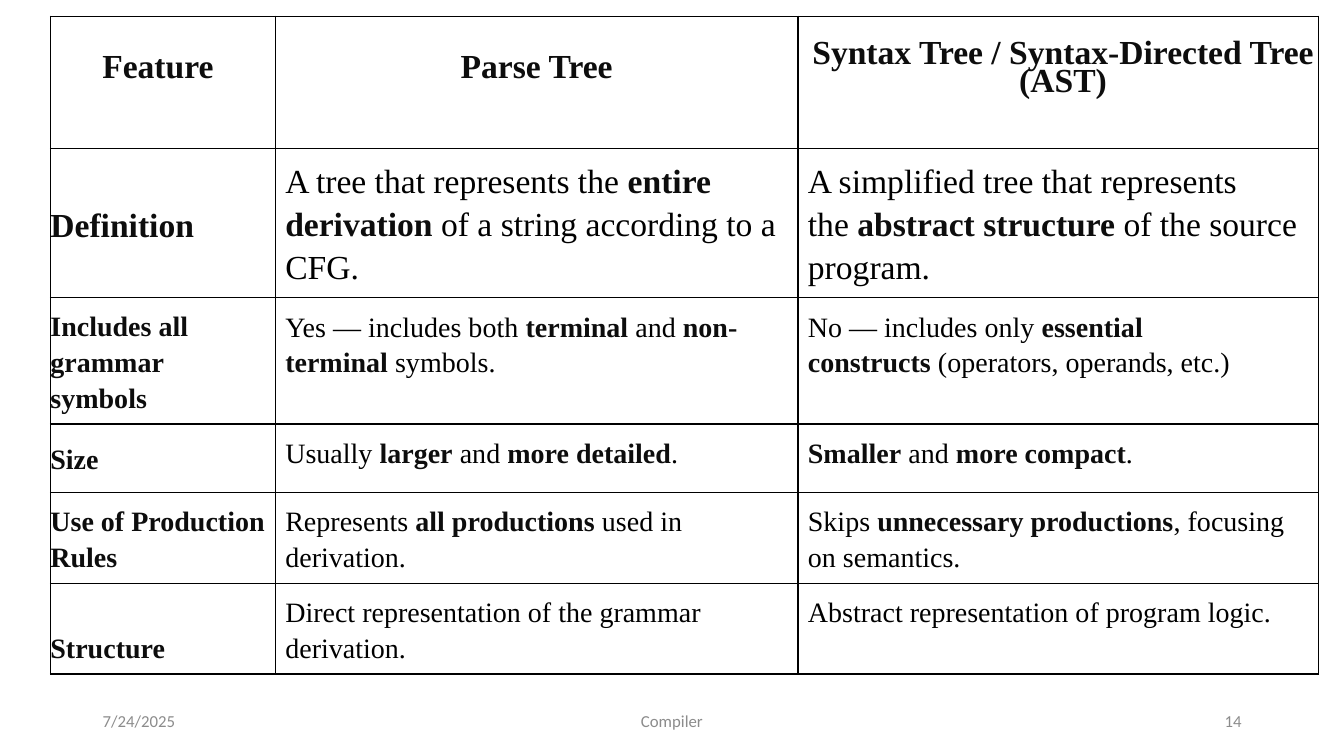
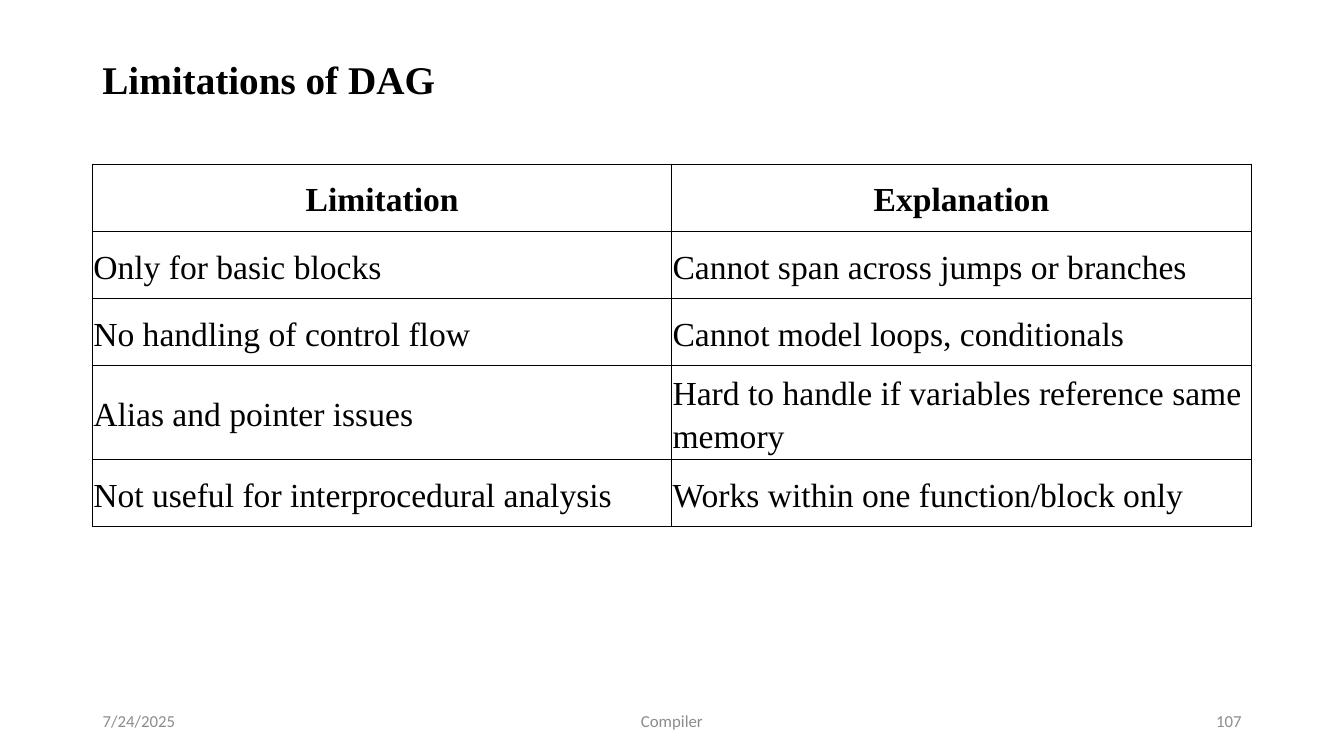
from lxml.etree import SubElement
from pptx import Presentation
from pptx.dml.color import RGBColor
from pptx.enum.text import MSO_ANCHOR as Anchor, PP_ALIGN as Align
from pptx.oxml.ns import qn
from pptx.util import Cm, Pt

COLORS = {"text": "000000", "strong": "0D0D0D", "footer": "8C8C8C", "border": "000000"}
SERIF, SANS = "Times New Roman", "Calibri"
FIXED_SPACE = chr(160)
FOOTER_DATE, FOOTER_NAME = "7/24/2025", "Compiler"

TREE_ROWS = [
    ("**Feature**", "**Parse Tree**", "**Syntax Tree / Syntax-Directed Tree**\n**(AST)**"),
    ("**Definition**",
     "A tree that represents the **entire derivation** of a string according to a CFG.",
     "A simplified tree that represents the **abstract structure** of the source program."),
    ("**Includes all grammar symbols**",
     "Yes — includes both **terminal** and **non-terminal** symbols.",
     "No — includes only **essential constructs** (operators, operands, etc.)"),
    ("**Size**",
     "Usually **larger** and **more detailed**.",
     "**Smaller** and **more compact**."),
    ("**Use of Production Rules**",
     "Represents **all productions** used in derivation.",
     "Skips **unnecessary productions**, focusing on semantics."),
    ("**Structure**",
     "Direct representation of the grammar derivation.",
     "Abstract representation of program logic."),
]

LIMITATION_ROWS = [
    ("**Limitation**", "**Explanation**"),
    ("Only for basic blocks", "Cannot span across jumps or branches"),
    ("No handling of control flow", "Cannot model loops, conditionals"),
    ("Alias and pointer issues", "Hard to handle if variables reference same memory"),
    ("Not useful for interprocedural analysis", "Works within one function/block only"),
]


def write_text(frame, text, size=24, font=SERIF, color="text", strong="text",
               align=Align.LEFT, spacing=None, after=None):
    """Fill a text frame, one paragraph a line, with **marked** parts bold and kept to their neighbours."""
    text = text.replace(" **", f"{FIXED_SPACE}**").replace("** ", f"**{FIXED_SPACE}")
    for index, line in enumerate(text.split("\n")):
        para = frame.paragraphs[0] if index == 0 else frame.add_paragraph()
        para.alignment, para.line_spacing, para.space_after = align, spacing, after
        for part, words in enumerate(line.split("**")):
            if not words:
                continue
            bold = part % 2 == 1
            span = para.add_run()
            span.text = words
            span.font.name, span.font.size, span.font.bold = font, Pt(size), bold
            span.font.color.rgb = RGBColor.from_string(COLORS[strong if bold else color])


def add_text(page, box, text, anchor=Anchor.MIDDLE, **style):
    """Place a wrapped text box in a (left, top, width, height) box in cm."""
    frame = page.shapes.add_textbox(*map(Cm, box)).text_frame
    frame.word_wrap = True
    frame.vertical_anchor = anchor
    write_text(frame, text, **style)


def draw_borders(cell):
    """Give a cell a thin solid line on all four sides."""
    properties = cell._tc.get_or_add_tcPr()
    for side in ("lnL", "lnR", "lnT", "lnB"):
        line = SubElement(properties, qn(f"a:{side}"), w=str(Pt(1)))
        SubElement(SubElement(line, qn("a:solidFill")), qn("a:srgbClr"), val=COLORS["border"])


def add_grid(page, left, top, widths, heights, rows, cell_format):
    """Place a bordered table; cell_format gives anchor, insets and style by row and column."""
    table = page.shapes.add_table(len(rows), len(widths), Cm(left), Cm(top),
                                  Cm(sum(widths)), Cm(sum(heights))).table
    table.first_row = table.horz_banding = False
    for column, width in zip(table.columns, widths):
        column.width = Cm(width)
    for row, (texts, height) in enumerate(zip(rows, heights)):
        table.rows[row].height = Cm(height)
        for col, text in enumerate(texts):
            cell = table.cell(row, col)
            anchor, insets, style = cell_format(row, col)
            cell.vertical_anchor = anchor
            (cell.margin_left, cell.margin_top,
             cell.margin_right, cell.margin_bottom) = map(Cm, insets)
            draw_borders(cell)
            cell.fill.background()
            write_text(cell.text_frame, text, after=Pt(8), **style)


def tree_format(row, col):
    """Format the cells of the tree comparison."""
    pad, tight = 0.25, 0.12
    left, right = pad if col else 0, 0 if col == 2 else pad
    anchor, top, bottom = Anchor.TOP, pad, 0
    header = row == 0
    if header:
        anchor, top, bottom = Anchor.MIDDLE, 0, pad
    elif col == 0 and row == len(TREE_ROWS) - 1:
        anchor, bottom = Anchor.BOTTOM, pad
    elif col == 0:
        anchor, top, bottom = Anchor.MIDDLE, tight, tight
    return anchor, (left, top, right, bottom), {
        "size": 24 if row < 2 else 20,
        "strong": "strong",
        "align": Align.CENTER if header else Align.LEFT,
        "spacing": Pt(12) if header else 1.15,
    }


def limitation_format(row, col):
    """Format the cells of the limitation list."""
    align = Align.LEFT if row else Align.CENTER
    return Anchor.MIDDLE, (0.02,) * 4, {"align": align, "spacing": 1.15}


def add_footer(page, number):
    """Place the date, the course name and the page number."""
    parts = [
        (2.34, 7.62, FOOTER_DATE, Align.LEFT),
        (11.22, 11.43, FOOTER_NAME, Align.CENTER),
        (23.92, 7.62, str(number), Align.RIGHT),
    ]
    for left, width, text, align in parts:
        add_text(page, (left, 17.65, width, 1.02), text,
                 size=12, font=SANS, color="footer", align=align)


def add_page(deck, number):
    """Add a blank page with its footer."""
    page = deck.slides.add_slide(deck.slide_layouts[6])
    add_footer(page, number)
    return page


def build_tree_page(deck):
    """Build the comparison of parse trees and syntax trees."""
    page = add_page(deck, 14)
    add_grid(page, 1.27, 0.41, (5.67, 13.17, 13.11),
             (3.33, 3.72, 3.19, 1.72, 2.29, 2.29), TREE_ROWS, tree_format)


def build_limitation_page(deck):
    """Build the titled list of DAG limitations."""
    page = add_page(deck, 107)
    add_text(page, (2.33, 1.27, 16.94, 1.45), "**Limitations of DAG**",
             anchor=Anchor.TOP, size=28)
    add_grid(page, 2.33, 4.14, (14.6,) * 2, (1.69,) * len(LIMITATION_ROWS),
             LIMITATION_ROWS, limitation_format)


def main():
    """Build and save the deck."""
    deck = Presentation()
    deck.slide_width, deck.slide_height = Cm(33.87), Cm(19.05)
    build_tree_page(deck)
    build_limitation_page(deck)
    deck.save("out.pptx")


if __name__ == "__main__":
    main()
